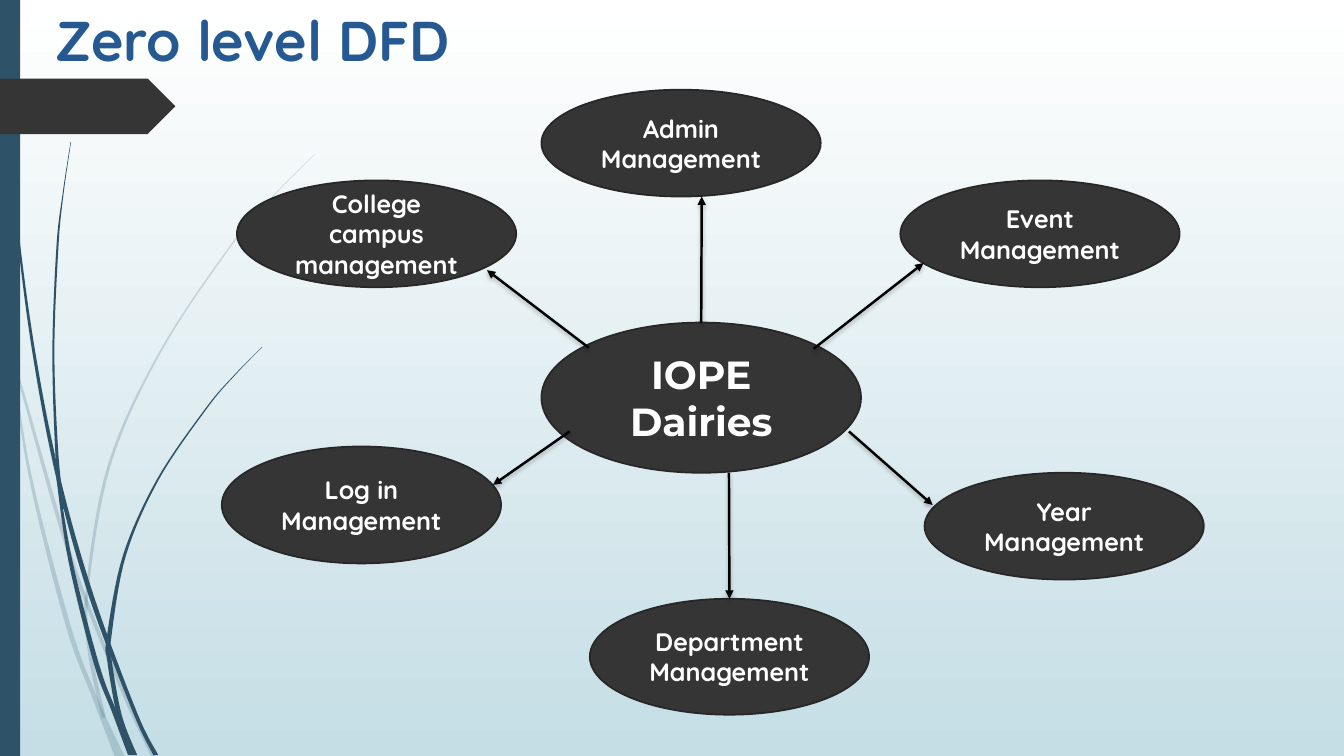
import pptx
import pptx.util
import pptx.dml.color
import pptx.enum.shapes
import pptx.enum.text
import pptx.oxml
import pptx.oxml.ns
import lxml.etree

COLUMNS, ROWS = 1333, 750
CELL = pptx.util.Inches(0.01)
STEPS = 8

TITLE = ("Zero level DFD", (42, 0, 417, 77))
HUB = (["IOPE Dairies"], (537, 320, 317, 149))
MODULE_WIDTH = 277
MODULES = [
    (["Admin Management"], (537, 89, 106), (696, 320), (696, 195)),
    (["Year Management"], (917, 469, 106), (842, 428), (925, 501)),
    (["Department Management"], (585, 594, 115), (723, 469), (723, 594)),
    (["Log in Management"], (220, 443, 116), (565, 428), (489, 481)),
    (["Event Management"], (893, 179, 106), (807, 346), (916, 261)),
    (["College campus", "management"], (235, 179, 106), (584, 345), (483, 268)),
]

DARK, RIM, WHITE, BLACK = "353535", "272727", "FFFFFF", "000000"
TITLE_BLUE, GRASS, SKY = "265991", "2E5369", "C5DEE5"

# Each blade lists (left, right, height) along its length.
BLADES = [
    (20, [(0, 1, 285), (10, 12, 346), (27, 30, 410), (58, 62, 521),
          (84, 88, 598), (123, 127, 693), (150, 155, 751)]),
    (20, [(11, 12, 350), (28, 31, 470), (65, 70, 620), (92, 97, 693),
          (114, 124, 751)]),
    (20, [(312, 312.5, 153), (268, 269, 197), (228, 229.5, 244),
          (158, 160, 349), (107, 110, 461), (85, 88, 585),
          (87, 91, 646), (101, 105, 712)]),
    (100, [(3, 4, 0), (7, 8, 110), (17, 19, 233), (33, 36, 355),
           (56, 60, 475), (88, 93, 591), (132, 136, 707), (152, 157, 749)]),
    (100, [(56, 58, 475), (68, 72, 557), (93, 98, 658), (111, 116, 706),
           (127, 136, 749)]),
    (100, [(70, 70.5, 141), (62, 63, 193), (56, 58, 245), (52, 54, 349),
           (55, 58, 451), (60, 64, 505)]),
    (100, [(260, 260.5, 344), (231, 232, 373.5), (204, 205.5, 405),
           (156, 158, 475), (122, 125, 551), (106, 110.5, 632),
           (106.5, 111, 656), (116, 121, 710), (128, 136, 749)]),
]


def cells(*counts):
    return [pptx.util.Emu(round(count * CELL)) for count in counts]


def colour(code):
    return pptx.dml.color.RGBColor.from_string(code)


def paint(part, fill, rim=None):
    part.shadow.inherit = False
    part.fill.solid()
    part.fill.fore_color.rgb = colour(fill)
    if rim:
        part.line.color.rgb = colour(rim)
        part.line.width = pptx.util.Pt(1.25)
    else:
        part.line.fill.background()


def write(frame, lines, size, font, code):
    frame.word_wrap = True
    for number, line in enumerate(lines):
        paragraph = frame.paragraphs[0] if number == 0 else frame.add_paragraph()
        paragraph.alignment = pptx.enum.text.PP_ALIGN.CENTER
        run = paragraph.add_run()
        run.text = line
        run.font.size = pptx.util.Pt(size)
        run.font.name = font
        run.font.bold = True
        run.font.color.rgb = colour(code)


def smooth(knots):
    padded = [knots[0], *knots, knots[-1]]
    points = []
    for before, start, end, after in zip(padded, padded[1:], padded[2:], padded[3:]):
        for step in range(STEPS):
            t = step / STEPS
            points.append(tuple(
                0.5 * (2 * b + (c - a) * t + (2 * a - 5 * b + 4 * c - d) * t**2
                       + (3 * b - a - 3 * c + d) * t**3)
                for a, b, c, d in zip(before, start, end, after)))
    return points + [knots[-1]]


def add_blade(shapes, opacity, knots):
    points = smooth(knots)
    outline = [cells(left, y) for left, _, y in points]
    outline += [cells(right, y) for _, right, y in reversed(points)]
    builder = shapes.build_freeform(*outline[0], scale=1.0)
    builder.add_line_segments(outline[1:], close=True)
    blade = builder.convert_to_shape()
    paint(blade, GRASS)
    if opacity < 100:
        tint = blade.fill._xPr.find(".//" + pptx.oxml.ns.qn("a:srgbClr"))
        lxml.etree.SubElement(tint, pptx.oxml.ns.qn("a:alpha"), val=str(opacity * 1000))


def add_oval(shapes, lines, box, size, font):
    oval = shapes.add_shape(pptx.enum.shapes.MSO_SHAPE.OVAL, *cells(*box))
    paint(oval, DARK, RIM)
    oval.text_frame.vertical_anchor = pptx.enum.text.MSO_ANCHOR.MIDDLE
    write(oval.text_frame, lines, size, font, WHITE)
    return oval


def add_arrow(shapes, start, end):
    arrow = shapes.add_connector(
        pptx.enum.shapes.MSO_CONNECTOR.STRAIGHT, *cells(*start, *end))
    arrow.line.color.rgb = colour(BLACK)
    arrow.line.width = pptx.util.Pt(1.75)
    lxml.etree.SubElement(
        arrow.line._get_or_add_ln(), pptx.oxml.ns.qn("a:tailEnd"), type="triangle")
    arrow._element.spPr.append(pptx.oxml.parse_xml(
        f'<a:effectLst {pptx.oxml.ns.nsdecls("a")}>'
        '<a:outerShdw blurRad="38100" dist="25400" dir="5400000" rotWithShape="0">'
        f'<a:srgbClr val="{BLACK}"><a:alpha val="25000"/></a:srgbClr>'
        '</a:outerShdw></a:effectLst>'))
    return arrow


def main():
    deck = pptx.Presentation()
    deck.slide_width, deck.slide_height = cells(COLUMNS, ROWS)
    slide = deck.slides.add_slide(deck.slide_layouts[5])
    shapes = slide.shapes

    sky = slide.background.fill
    sky.gradient()
    sky.gradient_angle = 270
    for stop, code, position in zip(sky.gradient_stops, (WHITE, SKY), (0, 1)):
        stop.color.rgb = colour(code)
        stop.position = position

    for opacity, knots in BLADES:
        add_blade(shapes, opacity, knots)
    strip = shapes.add_shape(
        pptx.enum.shapes.MSO_SHAPE.RECTANGLE, *cells(0, 0, 20, ROWS))
    paint(strip, GRASS)
    tab = shapes.add_shape(
        pptx.enum.shapes.MSO_SHAPE.PENTAGON, *cells(0, 78, 174, 55))
    paint(tab, DARK)

    heading, heading_box = TITLE
    title = shapes.title
    title.left, title.top, title.width, title.height = cells(*heading_box)
    title.text_frame.vertical_anchor = pptx.enum.text.MSO_ANCHOR.TOP
    title.text_frame.auto_size = pptx.enum.text.MSO_AUTO_SIZE.NONE
    write(title.text_frame, [heading], 40, "Quicksand", TITLE_BLUE)

    hub_lines, hub_box = HUB
    hub = add_oval(shapes, hub_lines, hub_box, 28, "Montserrat")
    modules = [
        add_oval(shapes, lines, (left, top, MODULE_WIDTH, height), 18, "Quicksand")
        for lines, (left, top, height), _, _ in MODULES]
    arrows = [add_arrow(shapes, start, end) for _, _, start, end in MODULES]
    arrows[0].begin_connect(hub, 0)
    arrows[2].end_connect(modules[2], 0)

    deck.save("out.pptx")


if __name__ == "__main__":
    main()
